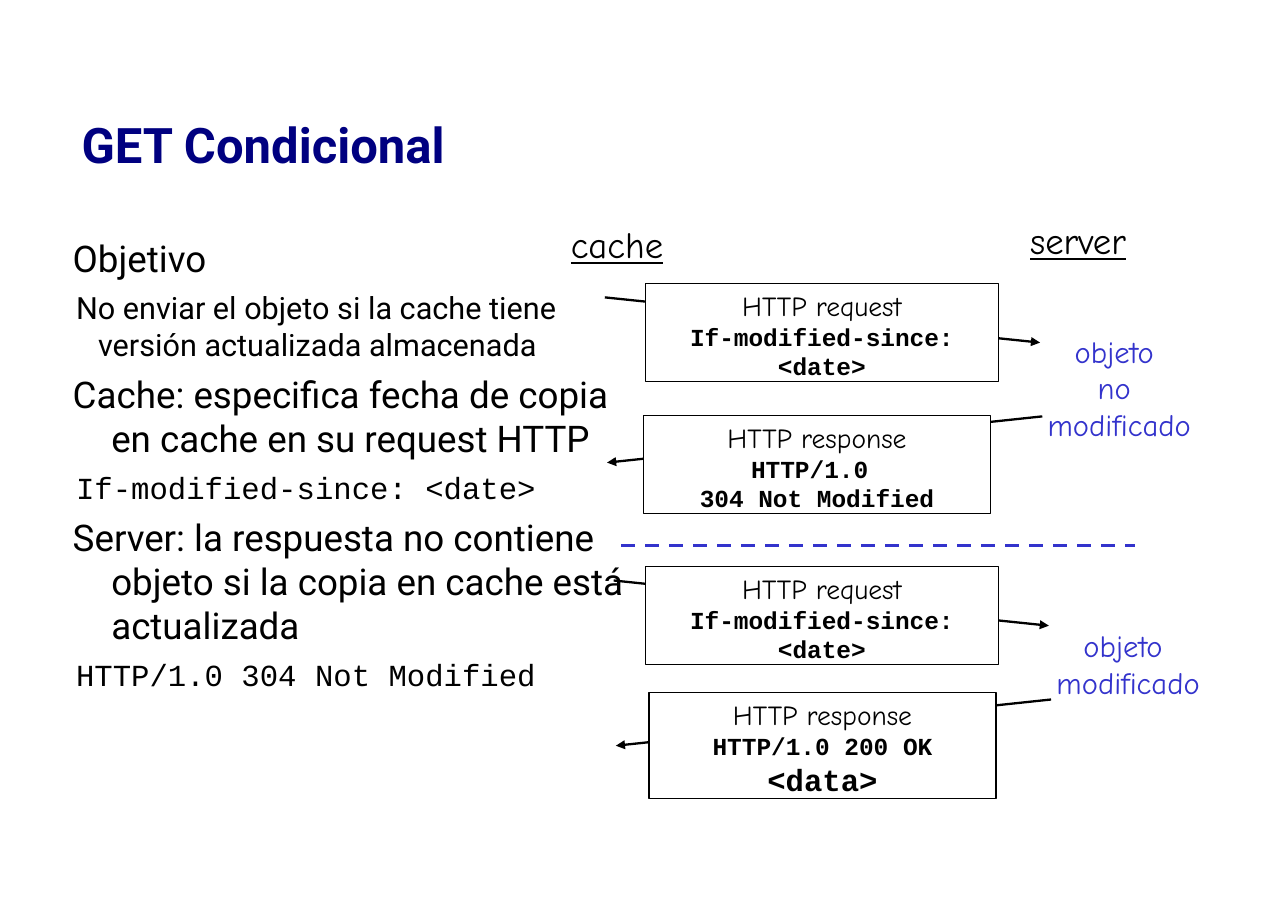
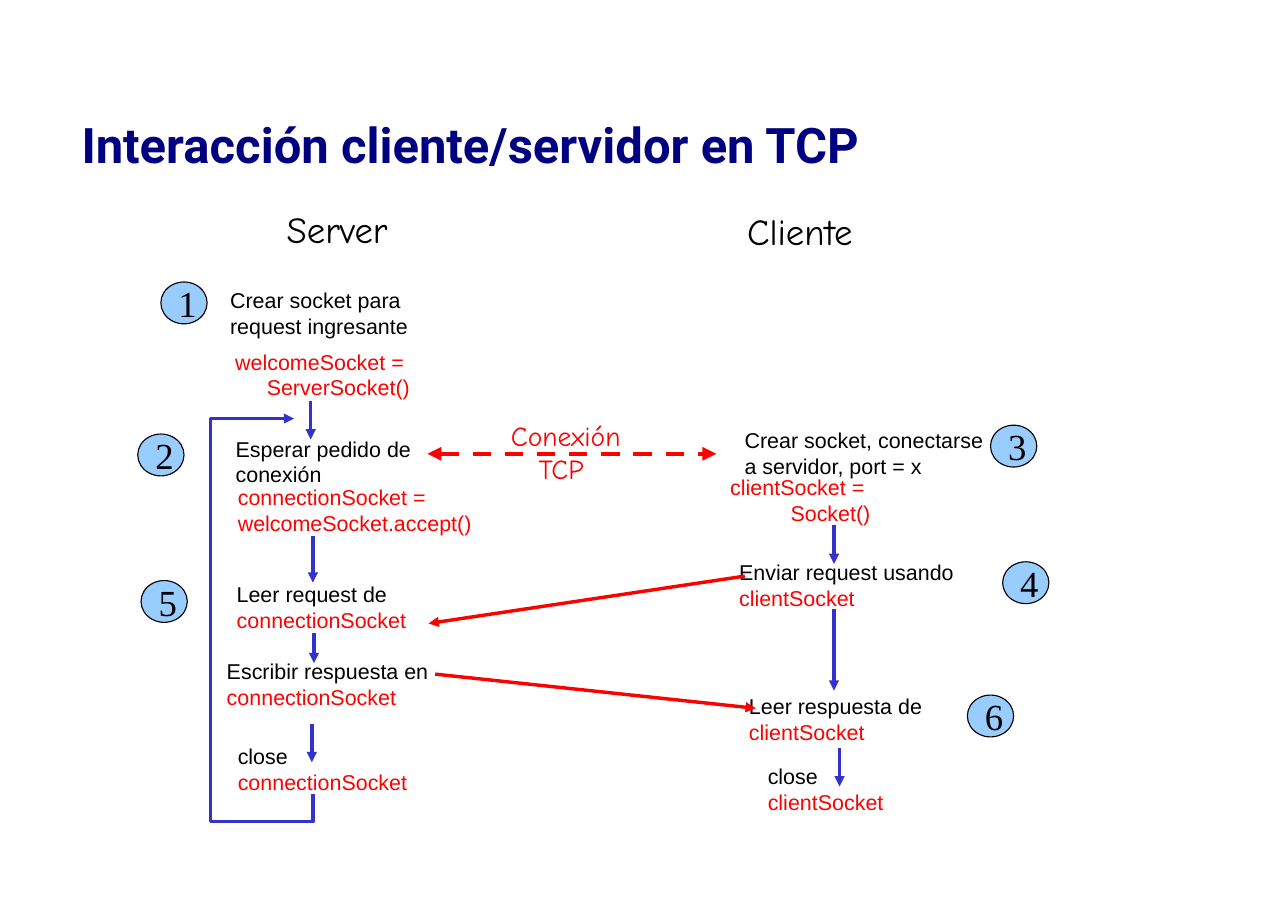
from lxml import etree
from pptx import Presentation
from pptx import util as u
from pptx.dml.color import RGBColor
from pptx.enum import dml, shapes, text
from pptx.oxml import ns

NAVY = RGBColor(0x00, 0x00, 0x80)
BLACK = RGBColor(0x00, 0x00, 0x00)
WHITE = RGBColor(0xFF, 0xFF, 0xFF)
BLUE = RGBColor(0x33, 0x33, 0xCC)
RED = RGBColor(0xFF, 0x00, 0x00)
SKY = RGBColor(0x99, 0xCC, 0xFF)
SANS, HAND, MONO, PLAIN, SERIF = (
    "Roboto", "Comic Neue", "Courier New", "Arial", "Times New Roman")
LEFT, MID, RIGHT = (
    text.PP_ALIGN.LEFT, text.PP_ALIGN.CENTER, text.PP_ALIGN.RIGHT)
TOP, CENTER = text.MSO_ANCHOR.TOP, text.MSO_ANCHOR.MIDDLE
STEP = (BLACK, BLACK)
CODE = (RED, RED)
BOTH = (BLACK, RED)
SLACK = 0.2
SHIFT = {LEFT: 0, MID: SLACK / 2, RIGHT: SLACK}


def write(shape, rows, anchor=TOP, inset=(0.1, 0.05), **base):
    frame = shape.text_frame
    frame.word_wrap = True
    frame.auto_size = text.MSO_AUTO_SIZE.NONE
    frame.vertical_anchor = anchor
    frame.margin_left = frame.margin_right = u.Inches(inset[0])
    frame.margin_top = frame.margin_bottom = u.Inches(inset[1])
    for i, row in enumerate(rows):
        words, extra = (row, {}) if isinstance(row, str) else row
        form = {**base, **extra}
        para = frame.paragraphs[0] if i == 0 else frame.add_paragraph()
        para.alignment = form.get("align", LEFT)
        para.space_before = u.Pt(form.get("before", 0) if i else 0)
        if "indent" in form:
            props = para._p.get_or_add_pPr()
            margin, first = form["indent"]
            props.set("marL", str(u.Inches(margin)))
            props.set("indent", str(u.Inches(first)))
            etree.SubElement(props, ns.qn("a:buNone"))
        run = para.add_run()
        run.text = words
        font = run.font
        font.name = form["font"]
        font.size = u.Pt(form["size"])
        font.color.rgb = form.get("color", BLACK)
        font.bold = form.get("bold", False)
        font.underline = form.get("under", False)


def place(shape, *box):
    shape.left, shape.top, shape.width, shape.height = map(u.Inches, box)


def label(slide, box, rows, align=LEFT, **form):
    x, y, wide, high = box
    spot = (x - SHIFT[align], y, wide + SLACK, high)
    shape = slide.shapes.add_textbox(*map(u.Inches, spot))
    write(shape, rows, align=align, **form)


def block(slide, kind, box, fill, width, rows, **form):
    shape = slide.shapes.add_shape(kind, *map(u.Inches, box))
    shape.shadow.inherit = False
    shape.fill.solid()
    shape.fill.fore_color.rgb = fill
    shape.line.color.rgb = BLACK
    shape.line.width = u.Pt(width)
    write(shape, rows, **form)


def stroke(shape, color, width, dash=False, tips=("tailEnd",)):
    shape.line.color.rgb = color
    shape.line.width = u.Pt(width)
    if dash:
        shape.line.dash_style = dml.MSO_LINE.DASH
    props = shape._element.spPr
    line = props.find(ns.qn("a:ln"))
    for tip in tips:
        etree.SubElement(line, ns.qn("a:" + tip), type="triangle")
    etree.SubElement(props, ns.qn("a:effectLst"))


def link(slide, start, end, color, width, **form):
    ends = map(u.Inches, (*start, *end))
    line = slide.shapes.add_connector(shapes.MSO_CONNECTOR.STRAIGHT, *ends)
    stroke(line, color, width, **form)


def begin(deck, layout, title):
    slide = deck.slides.add_slide(deck.slide_layouts[layout])
    place(slide.shapes.title, 0.64, 0.59, 10.5, 1.44)
    write(slide.shapes.title, [title], anchor=CENTER, font=SANS, size=32,
          color=NAVY, bold=True)
    return slide


def goals(slide, box):
    body = slide.placeholders[1]
    place(body, *box)
    sub = {"size": 20, "indent": (0.25, -0.2)}
    code = {**sub, "font": MONO}
    write(body, [
        "Objetivo",
        ("No enviar el objeto si la cache tiene versión actualizada almacenada",
         sub),
        "Cache: especifica fecha de copia en cache en su request HTTP",
        ("If-modified-since: <date>", code),
        "Server: la respuesta no contiene objeto si la copia en cache está "
        "actualizada",
        ("HTTP/1.0 304 Not Modified", code),
    ], inset=(0, 0), font=SANS, size=24, before=6, indent=(0.37, -0.35))


def message(slide, box, head, rows):
    block(slide, shapes.MSO_SHAPE.RECTANGLE, box, WHITE, 0.75,
          [(head, {"font": HAND, "size": 18, "bold": False}), *rows],
          font=MONO, size=16, bold=True, align=MID)


def exchange(slide, x, y, reply, rows, note, drop):
    link(slide, (x, y + 0.13), (x + 3.95, y + 0.54), BLACK, 1.5)
    message(slide, (5.86, y, 3.2, 0.89), "HTTP request",
            ["If-modified-since: <date>"])
    link(slide, (x + 3.97, y + 1.21), (x + 0.02, y + 1.63), BLACK, 1.5)
    dx, dy, high = reply
    message(slide, (x + dx, y + dy, 3.15, high), "HTTP response", rows)
    label(slide, (x + 3.92, y + drop, 1.5, 0.06 + len(note) / 3), note,
          font=HAND, size=20, color=BLUE, align=MID)


def caching(deck):
    slide = begin(deck, 1, "GET Condicional")
    goals(slide, (0.64, 2.14, 5.12, 4.84))
    for x, y, wide, name in ((5.08, 1.96, 1.04, "cache"),
                             (9.25, 1.93, 1.07, "server")):
        label(slide, (x, y, wide, 0.49), [name], font=HAND, size=24,
              under=True, align=MID)
    exchange(slide, 5.49, 2.57, (0.35, 1.2, 0.89),
             ["HTTP/1.0 ", "304 Not Modified"],
             ["objeto ", "no ", "modificado"], 0.4)
    link(slide, (5.64, 4.95), (10.3, 4.95), BLUE, 2.25, dash=True, tips=())
    exchange(slide, 5.57, 5.14, (0.32, 1.15, 0.96),
             ["HTTP/1.0 200 OK", ("<data>", {"size": 20})],
             ["objeto ", "modificado"], 0.5)


def column(slide, x, y, head, steps, downs, marks):
    dx, dy, wide, name = head
    label(slide, (x + dx, y + dy, wide, 0.49), [name], anchor=CENTER,
          font=HAND, size=24, align=MID)
    for dx, dy, wide, rows, tints, align in steps:
        label(slide, (x + dx, y + dy, wide, 0.54),
              [(row, {"color": tint}) for row, tint in zip(rows, tints)],
              anchor=CENTER, font=PLAIN, size=14, align=align)
    for dx, dy, high in downs:
        link(slide, (x + dx, y + dy), (x + dx, y + dy + high), BLUE, 2.25)
    for digit, dx, dy in marks:
        block(slide, shapes.MSO_SHAPE.OVAL, (x + dx, y + dy, 0.42, 0.38),
              SKY, 0, [digit], anchor=CENTER, font=SERIF, size=24)


def server(slide, x, y):
    column(slide, x, y, (0.6, 0.03, 1.23, "Server "), [
        (0.09, 0.77, 1.81, ("Crear socket para", "request ingresante"),
         STEP, LEFT),
        (0.13, 1.33, 1.79, ("welcomeSocket = ", "ServerSocket()"),
         CODE, RIGHT),
        (0.14, 2.12, 1.85, ("Esperar pedido de", "conexión"), STEP, LEFT),
        (0.16, 2.56, 2.32, ("connectionSocket =", "welcomeSocket.accept()"),
         CODE, LEFT),
        (0.15, 3.44, 1.74, ("Leer request de", "connectionSocket"),
         BOTH, LEFT),
        (0.06, 4.14, 2.03, ("Escribir respuesta en", "connectionSocket"),
         BOTH, LEFT),
        (0.16, 4.91, 1.74, ("close", "connectionSocket"), BOTH, LEFT),
    ], [(0.92, 1.84, 0.35), (0.94, 3.07, 0.42), (0.95, 3.95, 0.27),
        (0.93, 4.77, 0.35)],
        [("1", -0.44, 0.76), ("2", -0.65, 2.14), ("5", -0.62, 3.47)])
    turns = [(0.94, 5.41), (0.94, 5.66), (0.01, 5.66), (0.01, 2), (0.77, 2)]
    first, *rest = [(u.Inches(x + dx), u.Inches(y + dy)) for dx, dy in turns]
    pen = slide.shapes.build_freeform(*first)
    pen.add_line_segments(rest, close=False)
    loop = pen.convert_to_shape()
    loop.fill.background()
    stroke(loop, BLUE, 2.25)


def client(slide, x, y):
    column(slide, x, y, (0.18, 0.05, 1.16, "Cliente"), [
        (0.16, 2.04, 2.37, ("Crear socket, conectarse",
                            "a servidor, port = x"), STEP, LEFT),
        (0.03, 2.47, 1.47, ("clientSocket = ", "Socket()"), CODE, RIGHT),
        (0.11, 3.24, 2.2, ("Enviar request usando", "clientSocket"),
         BOTH, LEFT),
        (0.2, 4.46, 1.77, ("Leer respuesta de", "clientSocket"), BOTH, LEFT),
        (0.37, 5.09, 1.25, ("close", "clientSocket"), BOTH, LEFT),
    ], [(1.07, 2.97, 0.35), (1.07, 3.73, 0.74), (1.12, 4.99, 0.35)],
        [("3", 2.49, 2.06), ("4", 2.6, 3.3), ("6", 2.28, 4.51)])


def traffic(slide, x, y):
    link(slide, (x, y), (x + 2.62, y), RED, 3, dash=True,
         tips=("headEnd", "tailEnd"))
    label(slide, (x + 0.66, y - 0.36, 1.19, 0.68), ["Conexión", "TCP "],
          anchor=CENTER, font=HAND, size=18, color=RED, align=MID)
    link(slide, (x + 2.88, y + 1.11), (x + 0.01, y + 1.54), RED, 2.25)
    link(slide, (x + 0.07, y + 2), (x + 2.98, y + 2.31), RED, 2.25)


def sockets(deck):
    slide = begin(deck, 5, "Interacción cliente/servidor en TCP")
    server(slide, 1.9, 1.8)
    client(slide, 6.5, 1.8)
    traffic(slide, 3.88, 4.12)


def main():
    deck = Presentation()
    deck.slide_width = u.Inches(11.69)
    deck.slide_height = u.Inches(8.27)
    caching(deck)
    sockets(deck)
    deck.save("out.pptx")


if __name__ == "__main__":
    main()
